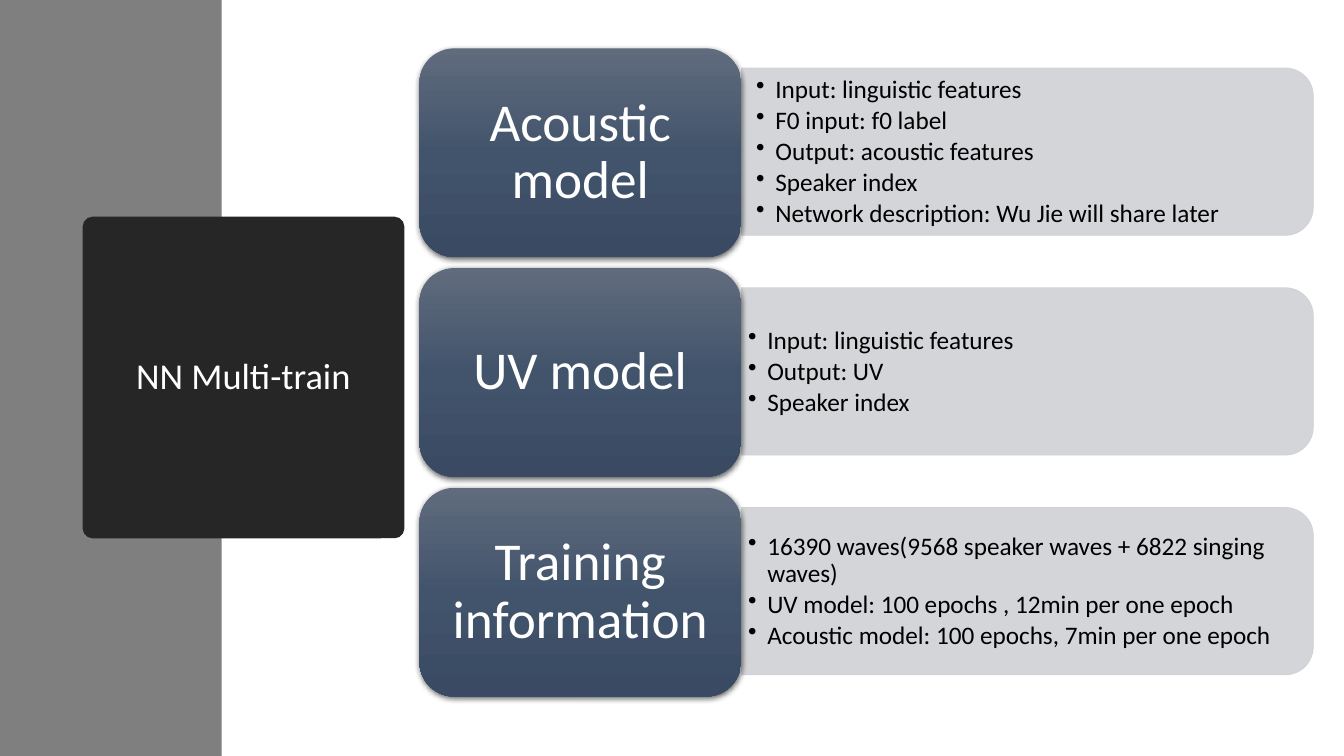
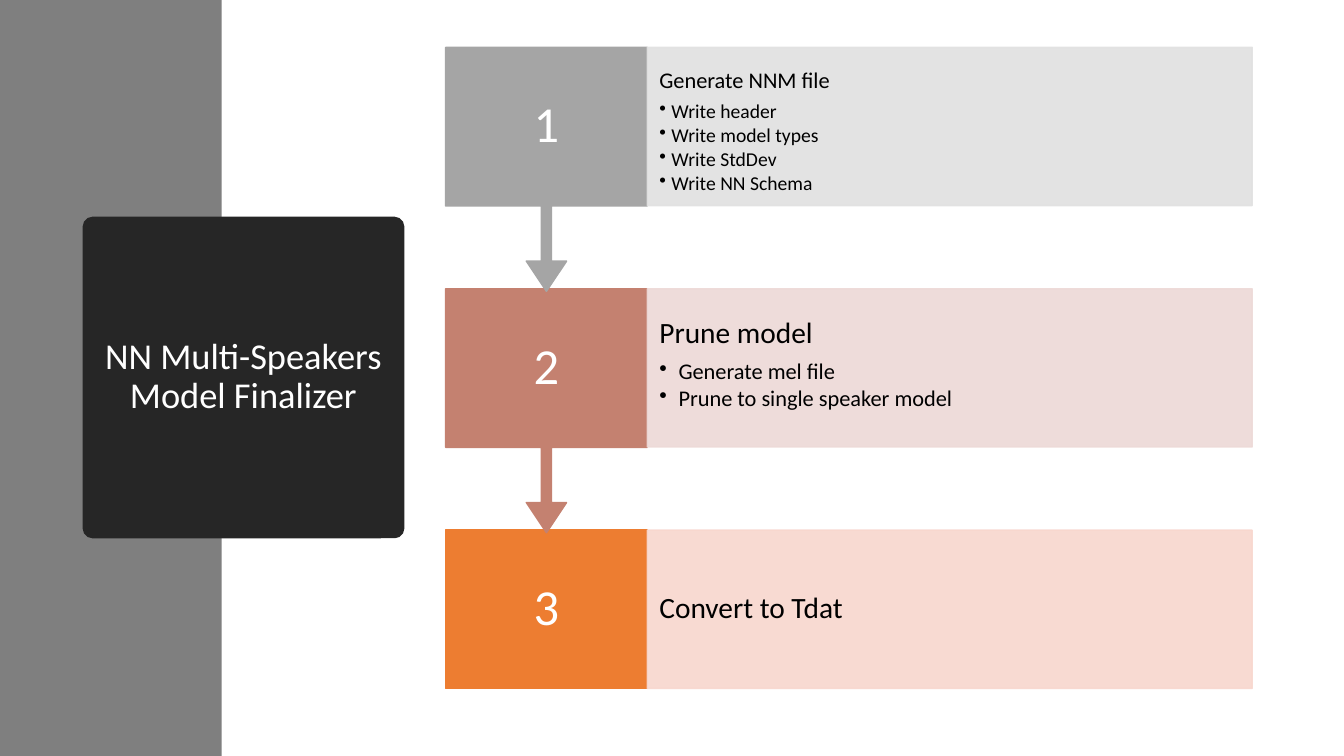
from lxml import etree
from pptx import Presentation
from pptx.dml.color import RGBColor
from pptx.enum.shapes import MSO_SHAPE
from pptx.enum.text import MSO_ANCHOR, PP_ALIGN
from pptx.oxml import parse_xml
from pptx.oxml.ns import nsdecls, qn
from pptx.util import Inches, Pt

FONT = "Calibri"
COLORS = {
    "band": "7F7F7F", "title": "262626", "white": "FFFFFF", "black": "000000",
    "panel": "CFD1D4", "tile_top": "606B7D", "tile_mid": "42546C", "tile_end": "394A62",
    "gray": "A5A5A5", "gray_pale": "E1E1E1", "rose": "C48170", "rose_pale": "EDD9D7",
    "orange": "ED7D31", "orange_pale": "F8D7CE",
}


def add_box(s, kind, at, color, line=0, alpha=100):
    """Add a flat shape; line is its outline in points, alpha its opacity in percent."""
    sp = s.shapes.add_shape(kind, *[Inches(v) for v in at])
    sp.shadow.inherit = False
    sp.fill.solid()
    sp.fill.fore_color.rgb = RGBColor.from_string(COLORS[color])
    if line:
        sp.line.color.rgb = RGBColor.from_string(COLORS[color])
        sp.line.width = Pt(line)
    else:
        sp.line.fill.background()
    if alpha < 100:
        for clr in sp.fill._xPr.iter(qn("a:srgbClr")):
            etree.SubElement(clr, qn("a:alpha")).set("val", str(alpha * 1000))
    return sp


def write(sp, paras, color, ins, align=PP_ALIGN.LEFT, anchor=MSO_ANCHOR.MIDDLE):
    """Write (text, size, bullet indent) paragraphs; an indent of 0 means no bullet."""
    tf = sp.text_frame
    frame = {"word_wrap": True, "vertical_anchor": anchor,
             "margin_left": Inches(ins[0]), "margin_right": Inches(ins[0]),
             "margin_top": Inches(ins[1]), "margin_bottom": Inches(ins[1])}
    for name, value in frame.items():
        setattr(tf, name, value)
    for i, (text, size, indent) in enumerate(paras):
        p = tf.paragraphs[0] if i == 0 else tf.add_paragraph()
        after = 0.15 if indent else 0.35
        layout = {"alignment": align, "line_spacing": 0.9, "space_after": Pt(size * after)}
        for name, value in layout.items():
            setattr(p, name, value)
        r = p.add_run()
        r.text = text
        for name, value in {"name": FONT, "size": Pt(size)}.items():
            setattr(r.font, name, value)
        r.font.color.rgb = RGBColor.from_string(COLORS[color])
        if indent:
            pPr = p._p.get_or_add_pPr()
            pPr.set("marL", str(Inches(indent)))
            pPr.set("indent", str(-Inches(indent)))
            etree.SubElement(pPr, qn("a:buChar")).set("char", "•")


prs = Presentation()
prs.slide_width, prs.slide_height = Inches(13.33), Inches(7.5)

# Side band and title on every slide
slides = []
for title in ["NN Multi-train", "NN Multi-Speakers Model Finalizer"]:
    s = prs.slides.add_slide(prs.slide_layouts[6])
    add_box(s, MSO_SHAPE.RECTANGLE, (0, 0, 2.2, 7.5), "band")
    sp = add_box(s, MSO_SHAPE.ROUNDED_RECTANGLE, (0.82, 2.15, 3.19, 3.19), "title")
    sp.adjustments[0] = 0.03
    write(sp, [(title, 26, 0)], "white", (0.15, 0.05), PP_ALIGN.CENTER)
    slides.append(s)
train, finalizer = slides

# Slide 1: gradient tiles with bullet panels
topics = [
    ("Acoustic model", (0.15, 0.07),
     ["Input: linguistic features", "F0 input: f0 label", "Output: acoustic features",
      "Speaker index", "Network description: Wu Jie will share later"]),
    ("UV model", (0.07, 0.04),
     ["Input: linguistic features", "Output: UV", "Speaker index"]),
    ("Training information", (0.07, 0.04),
     ["16390 waves(9568 speaker waves + 6822 singing waves)",
      "UV model: 100 epochs , 12min per one epoch",
      "Acoustic model: 100 epochs, 7min per one epoch"]),
]
stops = "".join(
    f'<a:gs pos="{pos}"><a:srgbClr val="{COLORS[name]}"/></a:gs>'
    for pos, name in [(0, "tile_top"), (50000, "tile_mid"), (100000, "tile_end")])
gradient = (f'<a:gradFill {nsdecls("a")} rotWithShape="1"><a:gsLst>{stops}</a:gsLst>'
            '<a:lin ang="5400000" scaled="0"/></a:gradFill>')
shadow = (f'<a:outerShdw {nsdecls("a")} blurRad="{Pt(4.5)}" dist="{Pt(1.5)}" dir="5400000" '
          f'algn="ctr" rotWithShape="0"><a:srgbClr val="{COLORS["black"]}">'
          '<a:alpha val="63000"/></a:srgbClr></a:outerShdw>')

for i, (name, ins, points) in enumerate(topics):
    top = 0.48 + 2.18 * i
    panel = add_box(train, MSO_SHAPE.ROUND_2_SAME_RECTANGLE, (9.36, top - 1.81, 1.66, 5.67),
                    "panel", 0.5, 90)
    panel.rotation = 90
    tb = train.shapes.add_textbox(Inches(7.35), Inches(top + 0.28), Inches(5.59), Inches(1.5))
    write(tb, [(point, 18, 0.19) for point in points], "black", ins)
    tile = add_box(train, MSO_SHAPE.ROUNDED_RECTANGLE, (4.16, top, 3.19, 2.07), "tile_mid")
    spPr = tile._element.spPr
    spPr.replace(spPr.find(qn("a:solidFill")), parse_xml(gradient))
    spPr.find(qn("a:effectLst")).append(parse_xml(shadow))
    write(tile, [(name, 38, 0)], "white", (0.16, 0.08), PP_ALIGN.CENTER)

# Slide 2: numbered steps, drawn from the last so that each arrow overlaps the next step
steps = [
    ("gray", 0.22, MSO_ANCHOR.TOP,
     [("Generate NNM file", 16, 0), ("Write header", 14, 0.12), ("Write model types", 14, 0.12),
      ("Write StdDev", 14, 0.12), ("Write NN Schema", 14, 0.12)]),
    ("rose", 0.29, MSO_ANCHOR.TOP,
     [("Prune model", 21, 0), ("Generate mel file", 16, 0.19),
      ("Prune to single speaker model", 16, 0.19)]),
    ("orange", 0.29, MSO_ANCHOR.MIDDLE, [("Convert to Tdat", 21, 0)]),
]
for i, (color, inset, anchor, paras) in reversed(list(enumerate(steps))):
    top = 0.47 + 2.395 * i
    if i == len(steps) - 1:
        sp = add_box(finalizer, MSO_SHAPE.RECTANGLE, (4.42, top, 2, 1.57), color, 1)
    else:
        sp = add_box(finalizer, MSO_SHAPE.DOWN_ARROW_CALLOUT, (4.42, top, 2, 2.42), color, 1)
        for k, value in enumerate([0.05, 0.1, 0.15, 0.65]):
            sp.adjustments[k] = value
    write(sp, [(str(i + 1), 36, 0)], "white", (0.14, 0.28), PP_ALIGN.CENTER)
    panel = add_box(finalizer, MSO_SHAPE.RECTANGLE, (6.42, top, 6, 1.57), f"{color}_pale", 1, 90)
    write(panel, paras, "black", (0.12, inset), anchor=anchor)

prs.save("out.pptx")
